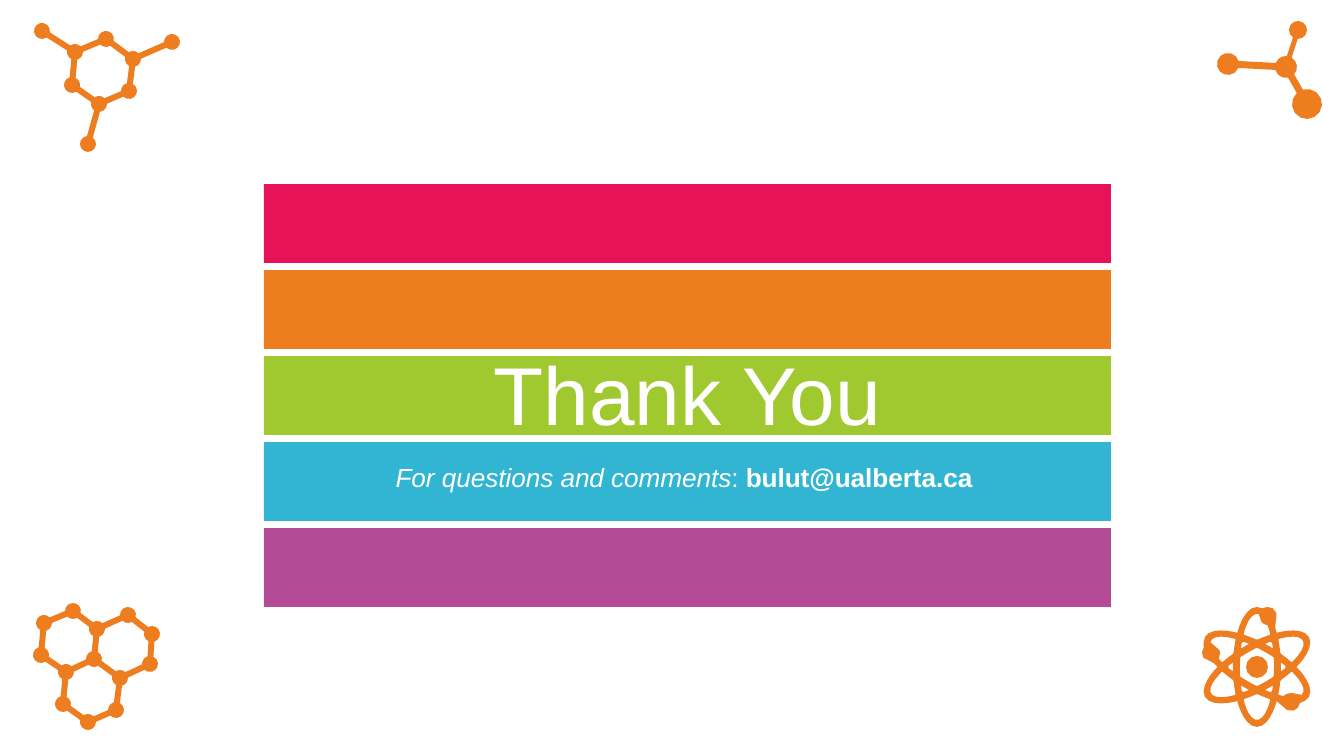
from dataclasses import dataclass
from math import asin, atan2, ceil, cos, hypot, pi, radians, sin, sqrt

from pptx import Presentation
from pptx.dml.color import RGBColor
from pptx.enum.shapes import MSO_SHAPE
from pptx.enum.text import MSO_ANCHOR, MSO_AUTO_SIZE, PP_ALIGN
from pptx.util import Emu, Pt

RECT = MSO_SHAPE.RECTANGLE
MIDDLE, CENTER = MSO_ANCHOR.MIDDLE, PP_ALIGN.CENTER
GROW = MSO_AUTO_SIZE.SHAPE_TO_FIT_TEXT
SLIDE_W, SLIDE_H = 1344, 756


@dataclass(frozen=True)
class Theme:
    bands: tuple = ("E61358", "ED7D1F", "A0C82F", "32B5D3", "B44B97")
    icon: str = "ED7D1F"
    text: str = "FFFFFF"
    font: str = "Arial"
    title: float = 58.67
    contact: float = 18.67


THEME = Theme()

HEXAGON_NODES = [(8, 8, 8), (41, 29, 8), (72, 16, 8), (99, 36, 8), (138, 19, 8),
                 (95, 68, 8), (65, 81, 8), (38, 62, 8), (54, 121, 8)]
HEXAGON_BONDS = [(0, 1, 6), (1, 2, 6), (2, 3, 6), (3, 4, 6), (3, 5, 6),
                 (5, 6, 6), (6, 7, 6), (7, 1, 6), (6, 8, 6)]

BRANCH_NODES = [(81, 9, 9), (69, 46, 11), (11, 43, 11), (90, 83, 15)]
BRANCH_BONDS = [(0, 1, 5), (1, 2, 7), (1, 3, 7)]

RINGS_NODES = [(11, 20, 8), (40, 8, 8), (64, 26, 8), (95, 12, 8), (119, 31, 8),
               (117, 61, 8), (87, 75, 8), (61, 56, 8), (33, 69, 8), (8, 52, 8),
               (30, 101, 8), (55, 119, 8), (83, 107, 8)]
RINGS_BONDS = [(0, 1, 6), (1, 2, 6), (2, 7, 6), (7, 8, 6), (8, 9, 6),
               (9, 0, 6), (2, 3, 6), (3, 4, 6), (4, 5, 6), (5, 6, 6),
               (6, 7, 6), (8, 10, 6), (10, 11, 6), (11, 12, 6), (12, 6, 6)]

ELECTRONS = [(11, -51, 9), (-46, -14, 9), (34, 35, 9)]
ORBIT_AXES = (30, 90, 150)
NUCLEUS = 11


def px(n):
    return Emu(round(n * 12192000 / SLIDE_W))


def rgb(color):
    return RGBColor.from_string(color)


def paint(sp, color):
    sp.shadow.inherit = False
    sp.fill.solid()
    sp.fill.fore_color.rgb = rgb(color)
    sp.line.fill.background()


def add_outline(s, x, y, contours):
    builder = None
    for contour in contours:
        (x0, y0), *rest = [(px(x + cx), px(y + cy)) for cx, cy in contour]
        if builder is None:
            builder = s.shapes.build_freeform(x0, y0)
        else:
            builder.move_to(x0, y0)
        builder.add_line_segments(rest, close=True)
    paint(builder.convert_to_shape(), THEME.icon)


def add_run(p, text, size, bold=False, italic=False):
    r = p.add_run()
    r.text = text
    r.font.name = THEME.font
    r.font.size = Pt(size)
    r.font.bold = bold
    r.font.italic = italic
    r.font.color.rgb = rgb(THEME.text)


def add_line_box(s, x, y, w, h):
    tf = s.shapes.add_textbox(px(x), px(y), px(w), px(h)).text_frame
    tf.word_wrap = True
    tf.auto_size = GROW
    tf.vertical_anchor = MIDDLE
    p = tf.paragraphs[0]
    p.alignment = CENTER
    return p


def draw_bands(s, x, y, w, band_h, gap):
    group = s.shapes.add_group_shape()
    for i, color in enumerate(THEME.bands):
        top = y + i * (band_h + gap)
        paint(group.shapes.add_shape(RECT, px(x), px(top), px(w), px(band_h)), color)


def draw_closing_text(s, x, y, w):
    add_run(add_line_box(s, x, y, w, 110), "Thank You", THEME.title)
    p = add_line_box(s, x, y + 118, w, 42)
    add_run(p, "For questions and comments", THEME.contact, italic=True)
    add_run(p, ": ", THEME.contact)
    add_run(p, "bulut@ualberta.ca ", THEME.contact, bold=True)


def polar(radius, angle, cx=0, cy=0):
    return cx + radius * cos(angle), cy + radius * sin(angle)


def draw_molecule(s, x, y, nodes, bonds):
    widths = {(a, b): w for a, b, w in bonds}
    widths.update({(b, a): w for a, b, w in bonds})

    def heading(a, b):
        return atan2(nodes[b][1] - nodes[a][1], nodes[b][0] - nodes[a][0])

    def sweep(start, a, b):
        return (heading(a, b) - start - 1e-6) % (2 * pi)

    contours, waiting = [], dict.fromkeys(widths)
    while waiting:
        first = u, v = next(iter(waiting))
        contour = []
        while (u, v) in waiting:
            del waiting[u, v]
            cx, cy, radius = nodes[v]
            back = heading(v, u)
            w = min((b for a, b in widths if a == v), key=lambda b: sweep(back, v, b))
            start = back + asin(widths[u, v] / 2 / radius)
            arc = back + sweep(back, v, w) - asin(widths[v, w] / 2 / radius) - start
            steps = max(1, ceil(arc / radians(30)))
            contour += [polar(radius, start + arc * i / steps, cx, cy)
                        for i in range(steps + 1)]
            u, v = v, w
        contours.append(contour)
    add_outline(s, x, y, contours)


def orbit_radii(angle, long, short):
    turns = [angle - radians(axis) for axis in ORBIT_AXES]
    return sorted(long * short / hypot(short * cos(t), long * sin(t)) for t in turns)


def electron_span(angle):
    for cx, cy, radius in ELECTRONS:
        along = cx * cos(angle) + cy * sin(angle)
        across = cy * cos(angle) - cx * sin(angle)
        if along > 0 and abs(across) < radius:
            half = sqrt(radius ** 2 - across ** 2)
            return along - half, along + half
    return 999, 0


def draw_atom(s, x, y):
    def outer(t):
        return orbit_radii(t, 60, 24)

    def inner(t):
        return orbit_radii(t, 53, 17)

    circle = [radians(d) for d in range(0, 360, 5)]
    contours = [[polar(max(outer(t)[2], electron_span(t)[1]), t) for t in circle],
                [polar(inner(t)[0], t) for t in circle],
                [polar(NUCLEUS, t) for t in circle[::6]]]
    for level, offset in ((0, 30), (1, 0)):
        for start in range(offset, 360 + offset, 60):
            low, high = [], []
            for t in (radians(d) for d in range(start, start + 61, 4)):
                near = outer(t)[level]
                far = min(inner(t)[level + 1], electron_span(t)[0])
                if near < far:
                    low.append(polar(near, t))
                    high.append(polar(far, t))
            contours.append(low + high[::-1])
    add_outline(s, x, y, contours)


def main():
    prs = Presentation()
    prs.slide_width, prs.slide_height = px(SLIDE_W), px(SLIDE_H)
    s = prs.slides.add_slide(prs.slide_layouts[6])
    draw_bands(s, 264, 184, 847, 79, 7)
    draw_closing_text(s, 356, 338, 663)
    draw_molecule(s, 1217, 21, BRANCH_NODES, BRANCH_BONDS)
    draw_molecule(s, 33, 603, RINGS_NODES, RINGS_BONDS)
    draw_molecule(s, 34, 23, HEXAGON_NODES, HEXAGON_BONDS)
    draw_atom(s, 1257, 667)
    prs.save("out.pptx")


if __name__ == "__main__":
    main()
